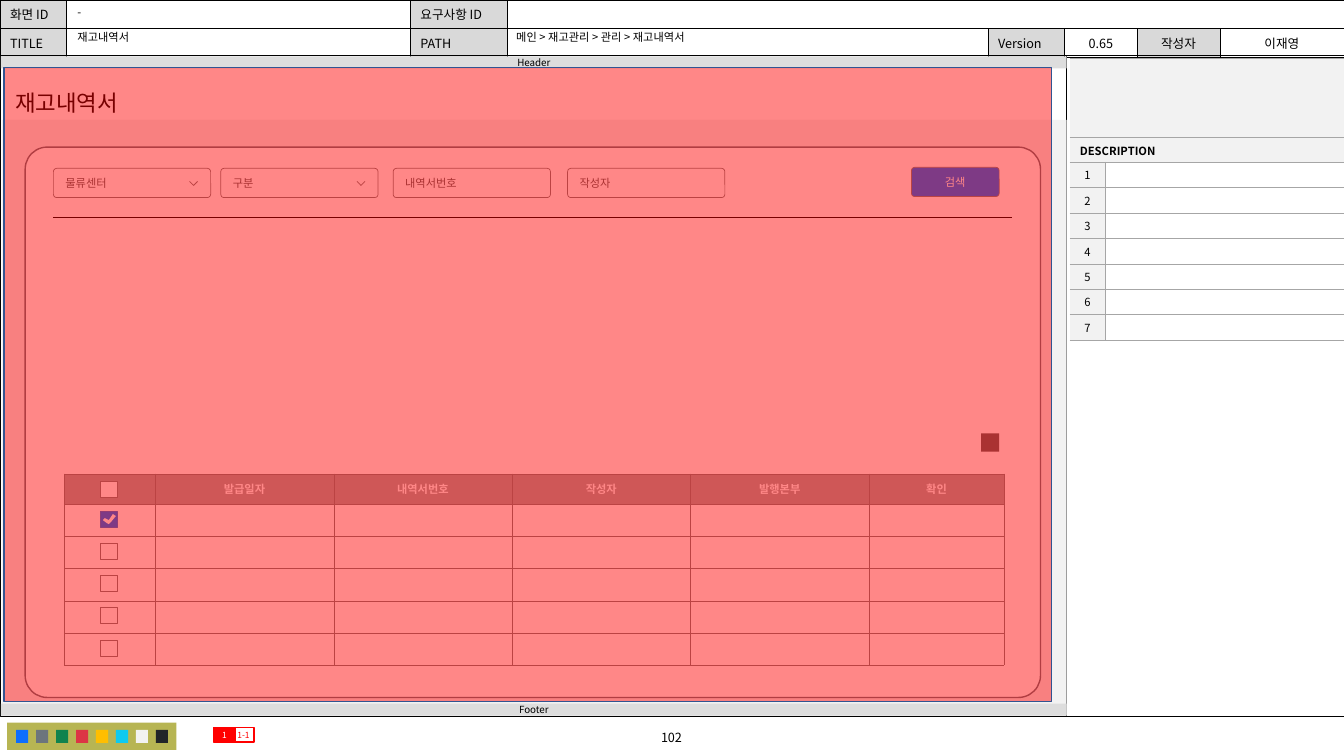
from lxml import etree
from pptx import Presentation
from pptx import util as u
from pptx.dml.color import RGBColor
from pptx.enum import shapes, text
from pptx.oxml import ns

STEP = u.Inches(0.01)
COLS, ROWS = 1333, 750
SANS = "Noto Sans CJK KR"
LEFT, CENTER = text.PP_ALIGN.LEFT, text.PP_ALIGN.CENTER
RECT, ROUND = shapes.MSO_SHAPE.RECTANGLE, shapes.MSO_SHAPE.ROUNDED_RECTANGLE
SIDES = "LRTB"


def grid(*cells):
    return [round(c * STEP) for c in cells]


def rgb(value):
    return RGBColor.from_string(value)


def apply(obj, **values):
    for name, value in values.items():
        setattr(obj, name, value)


def node(parent, tag, **attrs):
    return etree.SubElement(parent, ns.qn(f"a:{tag}"), **attrs)


def frame(obj, insets):
    names = ("margin_left", "margin_top", "margin_right", "margin_bottom")
    apply(obj, **dict(zip(names, grid(*insets))),
          vertical_anchor=text.MSO_ANCHOR.MIDDLE)


def write(tf, words, size, color="000000", align=LEFT, font=SANS, bold=False, spacing=1.0):
    p = tf.paragraphs[0]
    apply(p, alignment=align, line_spacing=spacing, space_before=u.Pt(0))
    r = p.add_run()
    r.text = words
    apply(r.font, name=font, size=u.Pt(size), bold=bold)
    r.font.color.rgb = rgb(color)
    node(r._r.get_or_add_rPr(), "ea", typeface=SANS)


def paint(sp, fill=None, line=None, width=0.5):
    sp.shadow.inherit = False
    if fill:
        sp.fill.solid()
        sp.fill.fore_color.rgb = rgb(fill)
    else:
        sp.fill.background()
    if line:
        sp.line.color.rgb = rgb(line)
        sp.line.width = u.Pt(width)
    else:
        sp.line.fill.background()


def box(s, at, fill=None, line=None, width=0.5, kind=RECT, corner=None,
        words=None, insets=(0, 0, 0, 0), **fmt):
    sp = s.shapes.add_shape(kind, *grid(*at))
    paint(sp, fill, line, width)
    if corner is not None:
        sp.adjustments[0] = corner
    if words:
        frame(sp.text_frame, insets)
        sp.text_frame.word_wrap = True
        write(sp.text_frame, words, **fmt)
    return sp


def outline(s, points, closed, fill=None, line=None):
    start, *rest = [grid(*point) for point in points]
    builder = s.shapes.build_freeform(*start, scale=1.0)
    builder.add_line_segments(rest, close=closed)
    paint(builder.convert_to_shape(), fill, line)


def rule(s, *ends):
    line = s.shapes.add_connector(shapes.MSO_CONNECTOR.STRAIGHT, *grid(*ends))
    line.line.color.rgb = rgb("000000")
    line.line.width = u.Pt(0.5)
    node(line._element.spPr, "effectLst")


def label(s, at, words, **fmt):
    sp = s.shapes.add_textbox(*grid(*at))
    frame(sp.text_frame, (10, 5, 10, 5))
    sp.text_frame.word_wrap = True
    write(sp.text_frame, words, **fmt)


def place(sp, at, words, wrap=True, **fmt):
    apply(sp, **dict(zip(("left", "top", "width", "height"), grid(*at))))
    sp._element.getparent().append(sp._element)
    frame(sp.text_frame, (10, 5, 10, 5))
    apply(sp.text_frame, word_wrap=wrap, auto_size=text.MSO_AUTO_SIZE.NONE)
    pPr = sp.text_frame.paragraphs[0]._p.get_or_add_pPr()
    apply(pPr, marL=0, indent=0)
    node(pPr, "buNone")
    write(sp.text_frame, words, **fmt)


def border(cell, sides, color, width):
    tcPr = cell._tc.get_or_add_tcPr()
    for i, side in enumerate(SIDES):
        ln = etree.Element(ns.qn(f"a:ln{side}"), w=str(u.Pt(width)))
        if side in sides:
            node(node(ln, "solidFill"), "srgbClr", val=color)
        else:
            node(ln, "noFill")
        tcPr.insert(i, ln)


def table(s, left, top, cols, rows, cell_rule, merges=(), color="000000", width=0.5):
    shape = s.shapes.add_table(len(rows), len(cols), *grid(left, top, sum(cols), sum(rows)))
    tbl = shape.table
    apply(tbl, first_row=False, horz_banding=False)
    for column, w in zip(tbl.columns, grid(*cols)):
        column.width = w
    for r, h in enumerate(grid(*rows)):
        tbl.rows[r].height = h
        for c in range(len(cols)):
            cell = tbl.cell(r, c)
            words, fill, sides, insets, fmt = cell_rule(r, c)
            frame(cell, insets)
            if fill:
                cell.fill.solid()
                cell.fill.fore_color.rgb = rgb(fill)
            else:
                cell.fill.background()
            border(cell, sides, color, width)
            if words:
                write(cell.text_frame, words, **fmt)
            else:
                node(cell.text_frame.paragraphs[0]._p, "endParaRPr", sz="800")
    for r, first, last in merges:
        tbl.cell(r, first).merge(tbl.cell(r, last))


def info_cell(r, c):
    words = (("화면 ID", "", "요구사항 ID", "", "", "", "", ""),
             ("TITLE", "", "PATH", "", "Version", "0.65", "작성자", "이재영"))[r][c]
    fill = "D9D9D9" if c in (0, 2) or (r == 1 and c in (4, 6)) else "FFFFFF"
    return words, fill, SIDES, (10, 5, 10, 5), dict(size=9, align=CENTER if c > 4 else LEFT)


def description_cell(r, c):
    if r < 2:
        words = "DESCRIPTION" if (r, c) == (1, 0) else ""
        return words, "F2F2F2", "TB", (10, 5, 10, 5), dict(size=8, bold=True)
    if c == 0:
        return str(r - 1), "F2F2F2", "RTB", (0, 0, 0, 0), dict(size=8, align=CENTER)
    return "", None, SIDES, (0, 0, 0, 0), {}


def ledger_cell(r, c):
    heads = ("", "발급일자", "내역서번호", "작성자", "발행본부", "확인")
    fmt = dict(size=8, color="FFFFFF", bold=True, align=CENTER)
    return heads[c] if r == 0 else "", None if r else "A5A5A5", SIDES, (6, 4, 6, 4), fmt


def checkbox(s, left, top, checked=False):
    box(s, (left, top, 16, 16), *(("0D6EFD", "3272DD") if checked else ("FFFFFF", "808080")))
    if checked:
        tick = ((12, 3), (8, 9), (4, 7), (2, 9), (6, 12), (8, 13), (10, 11), (15, 5))
        outline(s, [(left + x, top + y) for x, y in tick], True, "FFFFFF")


def field(s, left, words, dropdown=False):
    box(s, (left, 167, 156, 29), "FFFFFF", "808080", kind=ROUND, corner=0.11, words=words,
        insets=(11, 7, 30, 7), size=8, color="5F5F5F", font="Cabin")
    if dropdown:
        arrow = ((143, 13), (139, 17), (135, 13))
        outline(s, [(left + x, 167 + y) for x, y in arrow], False, line="808080")


def template(s):
    table(s, 0, 0, (66, 341, 96, 477, 76, 72, 82, 123), (28, 28), info_cell, [(0, 3, 7)])
    box(s, (0, 55, COLS, 656), line="000000", width=0.25)
    label(s, (537, 719, 258, 25), "102", size=9, align=CENTER)
    rule(s, 1058, 56, 1058, 711)
    box(s, (7, 717, 168, 27), "B7B553")
    palette = ("0D6EFD", "6C757D", "10834E", "DC3545", "FFBE00", "0DCAF0", "F2F2F2", "212529")
    for i, color in enumerate(palette):
        box(s, (16 + 19.8 * i, 724, 12, 13), color)
    box(s, (2, 119, 1056, 591), "F2F2F2")
    for top, words in ((698, "Footer"), (56, "Header")):
        box(s, (1, top, 1057, 12), "DDDDDD", words=words, size=7, align=CENTER)


def main():
    prs = Presentation()
    apply(prs, slide_width=COLS * STEP, slide_height=ROWS * STEP)
    s = prs.slides.add_slide(prs.slide_layouts[1])
    title, body = s.placeholders
    template(s)
    box(s, (25, 146, 1007, 546), "FFFFFF", "6C757D", 1, ROUND, 0.04)
    table(s, 1061, 58, (35, 237), (78, 25) + (25.2,) * 7, description_cell,
          [(0, 0, 1), (1, 0, 1)], "A6A6A6")
    place(body, (502, 26, 474, 23), "메인 > 재고관리 > 관리 > 재고내역서", size=8, spacing=0.9)
    label(s, (67, 1, 340, 23), "-", size=8, spacing=0.9)
    label(s, (67, 28, 338, 20), "재고내역서", size=8, spacing=0.9)
    for left, words, fill, color in ((231, "1-1", None, "FF0000"), (212, "1", "FF0000", "FFFFFF")):
        box(s, (left, 722, 21, 14), fill, "FF0000", 1, words=words, size=6,
            color=color, align=CENTER)
    place(title, (5, 83, 132, 37), "재고내역서", wrap=False, size=16)
    table(s, 64, 470, (90,) + (177,) * 4 + (134,), (30,) + (32,) * 5, ledger_cell,
          color="808080", width=0.25)
    checkbox(s, 100, 478)
    for row in range(5):
        checkbox(s, 100, 507 + 32 * row, checked=row == 0)
    box(s, (973, 430, 18, 18), "5F5F5F")
    box(s, (904, 166, 87, 29), "0D6EFD", "808080", kind=ROUND, corner=0.11, words="검색",
        insets=(11, 7, 11, 7), size=8, color="FFFFFF", align=CENTER, font="Cabin")
    for left, words, dropdown in ((53, "물류센터", True), (219, "구분", True),
                                  (390, "내역서번호", False), (563, "작성자", False)):
        field(s, left, words, dropdown)
    rule(s, 53, 216, 1004, 216)
    veil = box(s, (4, 67, 1039, 629), "FF0000", "325491", 1)
    node(veil._element.spPr.find(f".//{ns.qn('a:srgbClr')}"), "alpha", val="47000")
    prs.save("out.pptx")


if __name__ == "__main__":
    main()
